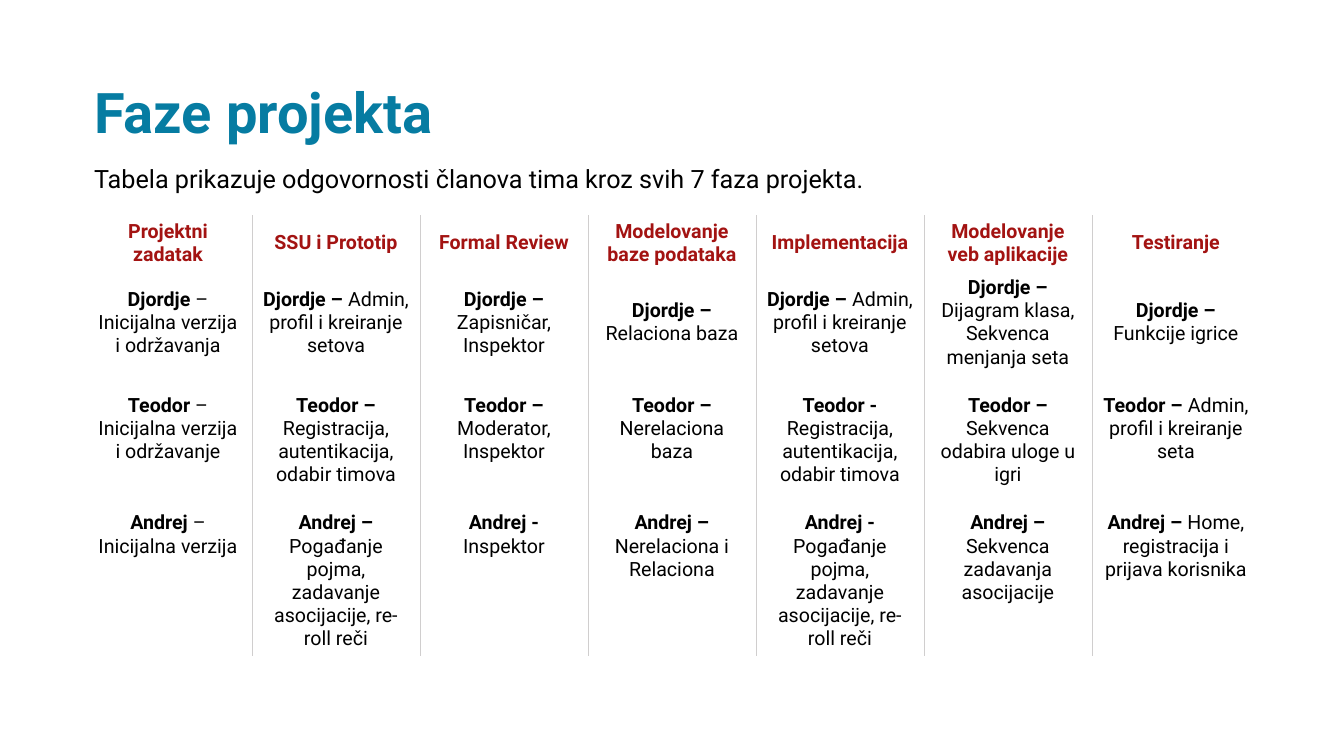
from dataclasses import dataclass

from lxml import etree
from pptx import Presentation
from pptx import util as u
from pptx.dml.color import RGBColor
from pptx.enum import text as t
from pptx.oxml import ns

TITLE = "Faze projekta"
INTRO = "Tabela prikazuje odgovornosti članova tima kroz svih 7 faza projekta."
PHASES = ["Projektni zadatak", "SSU i Prototip", "Formal Review",
          "Modelovanje baze podataka", "Implementacija",
          "Modelovanje veb aplikacije", "Testiranje"]
# One row per member; the part before "|" is bold
DUTIES = [
    ["Djordje |– Inicijalna verzija i održavanja",
     "Djordje – |Admin, profil i kreiranje setova",
     "Djordje – |Zapisničar, Inspektor",
     "Djordje – |Relaciona baza",
     "Djordje – |Admin, profil i kreiranje setova",
     "Djordje – |Dijagram klasa, Sekvenca menjanja seta",
     "Djordje – |Funkcije igrice"],
    ["Teodor |– Inicijalna verzija i održavanje",
     "Teodor – |Registracija, autentikacija, odabir timova",
     "Teodor – |Moderator, Inspektor",
     "Teodor – |Nerelaciona baza",
     "Teodor - |Registracija, autentikacija, odabir timova",
     "Teodor – |Sekvenca odabira uloge u igri",
     "Teodor – |Admin, profil i kreiranje seta"],
    ["Andrej |– Inicijalna verzija",
     "Andrej – |Pogađanje pojma, zadavanje asocijacije, re-roll reči",
     "Andrej - |Inspektor",
     "Andrej – |Nerelaciona i Relaciona",
     "Andrej - |Pogađanje pojma, zadavanje asocijacije, re-roll reči",
     "Andrej – |Sekvenca zadavanja asocijacije",
     "Andrej – |Home, registracija i prijava korisnika"],
]


@dataclass(frozen=True)
class Theme:
    font: str = "Roboto"
    title: str = "067CA2"
    phase: str = "A31312"
    ink: str = "000000"
    rule: str = "D0CECE"
    title_size: int = 40
    intro_size: int = 18
    cell_size: int = 14


THEME = Theme()
SCALE = 914400 / 100.8
LEFT, COLUMN = 84, 168
ROW_HEIGHTS = [53, 94, 107, 120]
NO_GRID_STYLE = "{2D5ABB26-0587-4C30-8999-92F81FD0307C}"


def px(length):
    return u.Emu(round(length * SCALE))


def write(frame, content, *, size, color, align=t.PP_ALIGN.LEFT, bold=False):
    """Fill the frame's first paragraph; text before a "|" is bold."""
    paragraph = frame.paragraphs[0]
    paragraph.alignment = align
    lead, mark, rest = content.partition("|")
    for words, heavy in ((lead, bold or bool(mark)), (rest, bold)):
        if words:
            run = paragraph.add_run()
            run.text = words
            run.font.name = THEME.font
            run.font.size = u.Pt(size)
            run.font.bold = heavy
            run.font.color.rgb = RGBColor.from_string(color)
    return paragraph


def place(holder, left, top, width, height, anchor):
    holder.left, holder.top = px(left), px(top)
    holder.width, holder.height = px(width), px(height)
    frame = holder.text_frame
    frame.auto_size = t.MSO_AUTO_SIZE.NONE
    frame.word_wrap = True
    frame.vertical_anchor = anchor
    return frame


def add_xml(parent, tag, **attributes):
    return etree.SubElement(parent, ns.qn(tag), attributes)


def draw_rule(cell, tag):
    line = add_xml(cell._tc.get_or_add_tcPr(), tag, w=str(u.Pt(0.5)))
    fill = add_xml(line, "a:solidFill")
    add_xml(fill, "a:srgbClr", val=THEME.rule)


def fill_cell(cell, row, column, content):
    if column > 0:
        draw_rule(cell, "a:lnL")
    if column < len(PHASES) - 1:
        draw_rule(cell, "a:lnR")
    cell.fill.background()
    centred = row < 2
    cell.vertical_anchor = t.MSO_ANCHOR.MIDDLE if centred else t.MSO_ANCHOR.TOP
    cell.margin_left = cell.margin_right = px(10)
    cell.margin_top = px(5 if centred else 20)
    cell.margin_bottom = px(5)
    paragraph = write(cell.text_frame, content, size=THEME.cell_size,
                      color=THEME.ink if row else THEME.phase,
                      align=t.PP_ALIGN.CENTER, bold=row == 0)
    before = add_xml(paragraph._p.get_or_add_pPr(), "a:spcBef")
    add_xml(before, "a:spcPct", val="20000")


def add_duties(slide):
    rows = [PHASES, *DUTIES]
    table = slide.shapes.add_table(
        len(rows), len(PHASES), px(LEFT), px(215),
        px(COLUMN * len(PHASES)), px(sum(ROW_HEIGHTS))).table
    table.first_row = table.horz_banding = False
    table._tbl.tblPr.find(ns.qn("a:tableStyleId")).text = NO_GRID_STYLE
    for column in table.columns:
        column.width = px(COLUMN)
    for r, (contents, height) in enumerate(zip(rows, ROW_HEIGHTS)):
        table.rows[r].height = px(height)
        for c, content in enumerate(contents):
            fill_cell(table.cell(r, c), r, c, content)


def main():
    deck = Presentation()
    deck.slide_width, deck.slide_height = px(1344), px(756)
    slide = deck.slides.add_slide(deck.slide_layouts[1])
    title, intro = slide.placeholders

    frame = place(title, LEFT, 79, 1167, 72, t.MSO_ANCHOR.MIDDLE)
    heading = write(frame, TITLE, size=THEME.title_size, color=THEME.title, bold=True)
    heading.line_spacing = 0.9
    heading.space_before = u.Pt(10)

    frame = place(intro, LEFT, 158, 1176, 128, t.MSO_ANCHOR.TOP)
    lead = write(frame, INTRO, size=THEME.intro_size, color=THEME.ink)
    lead.space_before = u.Pt(10)
    properties = lead._p.get_or_add_pPr()
    properties.set("marL", "0")
    properties.set("indent", "0")
    add_xml(properties, "a:buNone")

    add_duties(slide)
    deck.save("out.pptx")


if __name__ == "__main__":
    main()
